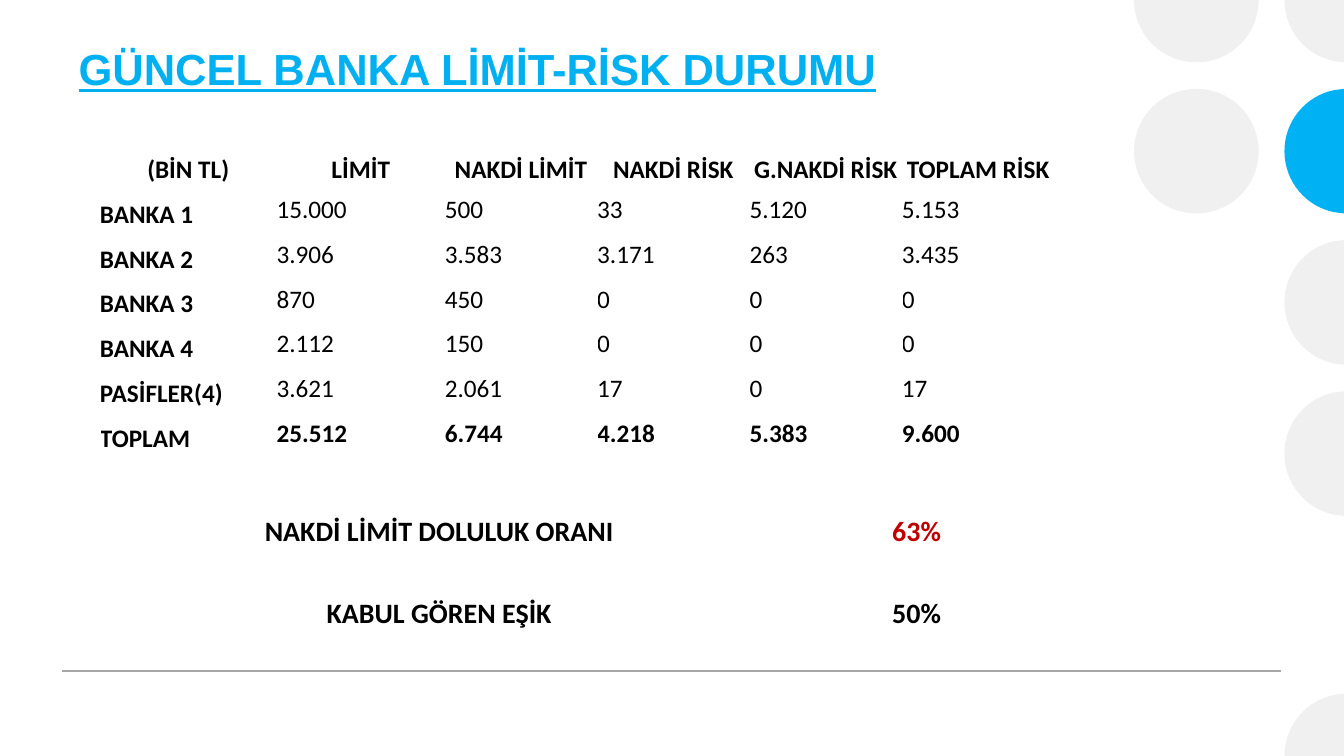
from dataclasses import dataclass

from lxml import etree
from pptx import Presentation
from pptx import util as u
from pptx.dml import color
from pptx.enum import shapes, text
from pptx.oxml import ns

SLIDE_WIDTH, SLIDE_HEIGHT = 33.87, 19.05
DOT_RADIUS, DOT_PITCH = 1.57, 3.81
INNER_X, EDGE_X = 30.15, 33.94
BLACK, RED, SKY, CYAN = "000000", "C00000", "00B0F0", "00B2F3"
PALE, RULE_GREY = "EFF0EF", "A6A6A6"
CENTER, LEFT = text.PP_ALIGN.CENTER, text.PP_ALIGN.LEFT
MIDDLE, BOTTOM = text.MSO_ANCHOR.MIDDLE, text.MSO_ANCHOR.BOTTOM

Point = tuple[float, float]


@dataclass
class Outline:
    corners: list[Point]
    curves: list[Point]


@dataclass
class Dot:
    x: float
    row: int
    outline: Outline | None = None
    fill: str = PALE


@dataclass
class Entry:
    words: str
    align: text.PP_ALIGN = LEFT
    anchor: text.MSO_ANCHOR = MIDDLE
    bold: bool = True
    ink: str = BLACK


@dataclass
class Grid:
    top: float
    widths: list[float]
    heights: list[float]
    size: float
    rows: list[list[Entry]]
    left: float = 2.52


CUT = -0.07
LOWER_ARC = [(-1.02, 1.4), (-DOT_RADIUS, 0.77), (-DOT_RADIUS, 0)]
UPPER_ARC = [(-DOT_RADIUS, -0.77), (-1.02, -1.4), (-0.31, -1.54)]
LOWER_CUT = [(CUT, DOT_RADIUS), (-0.31, 1.54)]
LEFT_HALF = Outline([(CUT, -DOT_RADIUS), *LOWER_CUT], LOWER_ARC + UPPER_ARC)
LOWER_LEFT = Outline([(-DOT_RADIUS, 0), (CUT, 0), *LOWER_CUT], LOWER_ARC)
UPPER_LEFT = Outline([(CUT, -DOT_RADIUS), (CUT, 0), (-DOT_RADIUS, 0)], UPPER_ARC)
LOWER_HALF = Outline(
    [(-DOT_RADIUS, 0), (DOT_RADIUS, 0)],
    [(DOT_RADIUS, 0.87), (0.87, DOT_RADIUS), (0, DOT_RADIUS),
     (-0.87, DOT_RADIUS), (-DOT_RADIUS, 0.87), (-DOT_RADIUS, 0)])
DOTS = [
    Dot(INNER_X, 1),
    Dot(INNER_X, 0, LOWER_HALF),
    Dot(EDGE_X, 5, UPPER_LEFT),
    Dot(EDGE_X, 3, LEFT_HALF),
    Dot(EDGE_X, 2, LEFT_HALF),
    Dot(EDGE_X, 1, LEFT_HALF, CYAN),
    Dot(EDGE_X, 0, LOWER_LEFT),
]
HEADINGS = ["(BİN TL)", "LİMİT", "NAKDİ LİMİT", "NAKDİ RİSK", "G.NAKDİ RİSK", "TOPLAM RİSK"]
BANKS = [
    ("BANKA 1", "15.000", "500", "33", "5.120", "5.153"),
    ("BANKA 2", "3.906", "3.583", "3.171", "263", "3.435"),
    ("BANKA 3", "870", "450", "0", "0", "0"),
    ("BANKA 4", "2.112", "150", "0", "0", "0"),
    ("PASİFLER(4)", "3.621", "2.061", "17", "0", "17"),
    ("TOPLAM", "25.512", "6.744", "4.218", "5.383", "9.600"),
]


def rgb(value: str) -> color.RGBColor:
    return color.RGBColor.from_string(value)


def add_run(paragraph, words: str, font_name: str, size: float, ink: str, bold: bool):
    run = paragraph.add_run()
    run.text = words
    run.font.name = font_name
    run.font.size = u.Pt(size)
    run.font.bold = bold
    run.font.color.rgb = rgb(ink)
    return run


def add_cut_disc(slide, x: float, y: float, outline: Outline):
    points = [(u.Cm(x + dx), u.Cm(y + dy)) for dx, dy in outline.corners + outline.curves]
    builder = slide.shapes.build_freeform(*points[0])
    builder.add_line_segments(points[1:], close=True)
    disc = builder.convert_to_shape()
    segments = list(disc.element.iter(ns.qn("a:lnTo")))[len(outline.corners) - 1:]
    for first in range(0, len(outline.curves), 3):
        curve = etree.Element(ns.qn("a:cubicBezTo"))
        segments[first].addprevious(curve)
        for segment in segments[first:first + 3]:
            curve.append(segment[0])
            segment.getparent().remove(segment)
    return disc


def draw_dot(slide, dot: Dot) -> None:
    y = dot.row * DOT_PITCH
    if dot.outline:
        disc = add_cut_disc(slide, dot.x, y, dot.outline)
    else:
        disc = slide.shapes.add_shape(
            shapes.MSO_SHAPE.OVAL, u.Cm(dot.x - DOT_RADIUS), u.Cm(y - DOT_RADIUS),
            u.Cm(2 * DOT_RADIUS), u.Cm(2 * DOT_RADIUS))
    disc.shadow.inherit = False
    disc.fill.solid()
    disc.fill.fore_color.rgb = rgb(dot.fill)
    disc.line.fill.background()


def draw_footer_rule(slide) -> None:
    rule = slide.shapes.add_connector(
        shapes.MSO_CONNECTOR.STRAIGHT, u.Cm(1.57), u.Cm(16.91), u.Cm(32.28), u.Cm(16.91))
    rule.line.color.rgb = rgb(RULE_GREY)
    rule.line.width = u.Pt(1)
    etree.SubElement(rule.element.spPr, ns.qn("a:effectLst"))


def draw_title(slide) -> None:
    heading = slide.shapes.add_textbox(u.Cm(1.73), u.Cm(0.91), u.Cm(24.61), u.Cm(3.53))
    frame = heading.text_frame
    frame.word_wrap = True
    frame.margin_top = u.Cm(0.15)
    run = add_run(frame.paragraphs[0], "GÜNCEL BANKA LİMİT-RİSK DURUMU", "Arial", 31.1, SKY, True)
    run.font.underline = True


def draw_grid(slide, grid: Grid) -> None:
    table = slide.shapes.add_table(
        len(grid.heights), len(grid.widths), u.Cm(grid.left), u.Cm(grid.top),
        u.Cm(sum(grid.widths)), u.Cm(sum(grid.heights))).table
    table.first_row = table.horz_banding = False
    for column, width in zip(table.columns, grid.widths):
        column.width = u.Cm(width)
    for row, height, entries in zip(table.rows, grid.heights, grid.rows):
        row.height = u.Cm(height)
        for cell, entry in zip(row.cells, entries):
            cell.fill.background()
            cell.margin_left = cell.margin_right = cell.margin_top = cell.margin_bottom = 0
            cell.vertical_anchor = entry.anchor
            paragraph = cell.text_frame.paragraphs[0]
            paragraph.alignment = entry.align
            paragraph.line_spacing = 1.14
            add_run(paragraph, entry.words, "Calibri", grid.size, entry.ink, entry.bold)


def limit_grid() -> Grid:
    rows = [[Entry(heading, CENTER, BOTTOM) for heading in HEADINGS]]
    for bank, *amounts in BANKS:
        is_total = bank == "TOPLAM"
        rows.append([Entry(bank, anchor=BOTTOM)]
                    + [Entry(amount, bold=is_total) for amount in amounts])
    return Grid(2.88, [4.45, 4.24] + [3.84] * 4, [1.79] + [1.13] * len(BANKS), 18, rows)


def ratio_grid() -> Grid:
    rows = [
        [Entry("NAKDİ LİMİT DOLULUK ORANI", CENTER), Entry("63%", CENTER, ink=RED)],
        [Entry("KABUL GÖREN EŞİK", CENTER), Entry("50%", CENTER)],
    ]
    return Grid(12.3, [17.1, 6.96], [2.08] * 2, 20, rows)


def main() -> None:
    deck = Presentation()
    deck.slide_width, deck.slide_height = u.Cm(SLIDE_WIDTH), u.Cm(SLIDE_HEIGHT)
    slide = deck.slides.add_slide(deck.slide_layouts[6])
    for dot in DOTS:
        draw_dot(slide, dot)
    draw_footer_rule(slide)
    draw_title(slide)
    for grid in (limit_grid(), ratio_grid()):
        draw_grid(slide, grid)
    deck.save("out.pptx")


if __name__ == "__main__":
    main()
